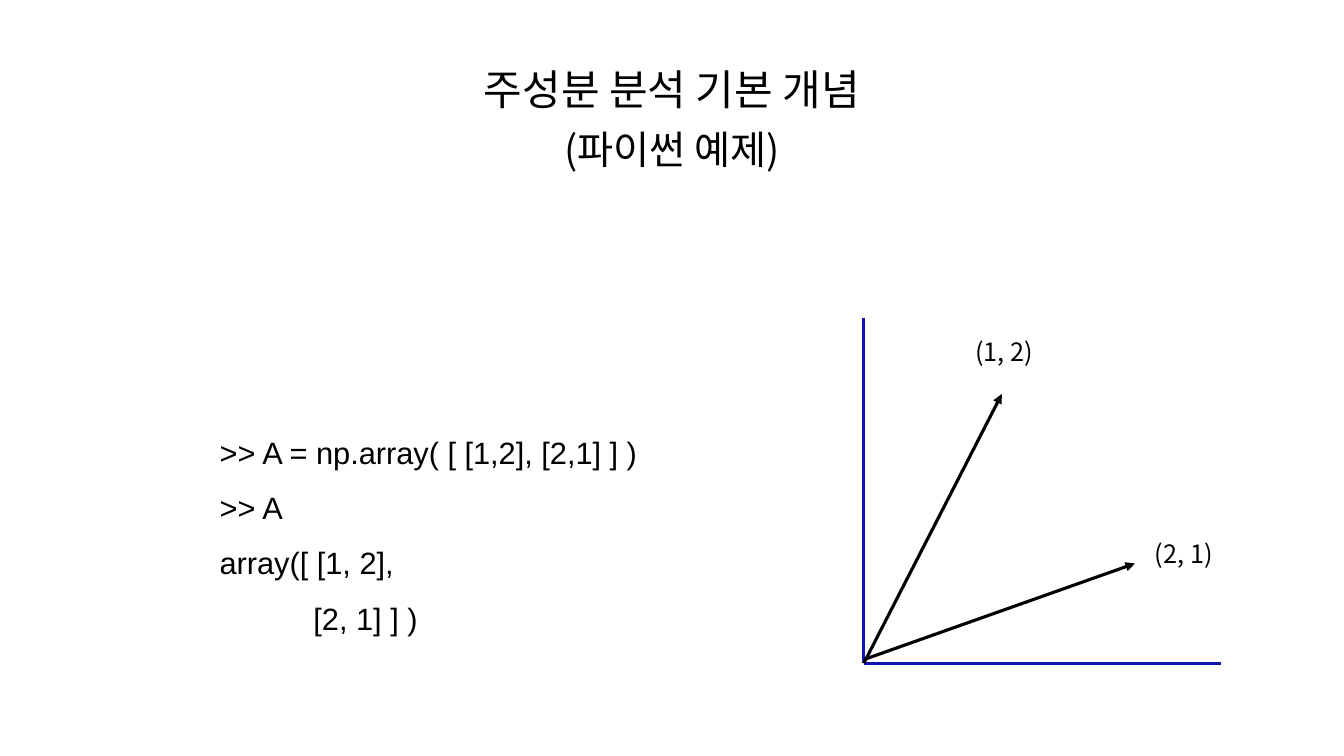
from lxml import etree
from pptx import Presentation
from pptx.dml.color import RGBColor
from pptx.enum.shapes import MSO_CONNECTOR
from pptx.enum.text import MSO_ANCHOR, MSO_AUTO_SIZE, PP_ALIGN
from pptx.oxml.ns import qn
from pptx.util import Pt

BLACK = RGBColor(0x00, 0x00, 0x00)
AXIS_BLUE = RGBColor(0x13, 0x13, 0xAD)
KOREAN_FONT = "Noto Sans CJK KR"
CODE_FONT = "Arial"
STRAIGHT = MSO_CONNECTOR.STRAIGHT
MIDDLE = MSO_ANCHOR.MIDDLE
CENTER = PP_ALIGN.CENTER
NO_FIT, GROW = MSO_AUTO_SIZE.NONE, MSO_AUTO_SIZE.SHAPE_TO_FIT_TEXT

TITLE_LINES = [("주성분 분석 기본 개념", 30), ("(파이썬 예제)", 28)]
CODE_LINES = [
    ">> A = np.array( [ [1,2], [2,1] ] )",
    ">> A",
    "array([ [1, 2],",
    "           [2, 1] ] )",
]


def format_run(r, size, font):
    r.font.size = Pt(size)
    r.font.name = font
    r.font.color.rgb = BLACK
    etree.SubElement(r.font._element, qn("a:ea"), typeface=font)


def place(s, left, top, width, height):
    s.left, s.top, s.width, s.height = Pt(left), Pt(top), Pt(width), Pt(height)


def add_title(slide, left, top, width, height):
    s = slide.shapes.title
    place(s, left, top, width, height)
    tf = s.text_frame
    tf.word_wrap = True
    tf.auto_size = NO_FIT
    tf.vertical_anchor = MIDDLE
    p = tf.paragraphs[0]
    p.alignment = CENTER
    p.line_spacing = 1.25
    for i, (text, size) in enumerate(TITLE_LINES):
        if i:
            p.add_line_break()
            # The break takes the size of the line it ends
            line_break = p._p.findall(qn("a:br"))[-1]
            etree.SubElement(line_break, qn("a:rPr"), sz=str(TITLE_LINES[i - 1][1] * 100))
        r = p.add_run()
        r.text = text
        format_run(r, size, KOREAN_FONT)


def add_text(shapes, lines, box, size, font):
    s = shapes.add_textbox(*(Pt(v) for v in box))
    tf = s.text_frame
    tf.word_wrap = True
    tf.auto_size = GROW
    for i, line in enumerate(lines):
        p = tf.add_paragraph() if i else tf.paragraphs[0]
        p.text = line
        if i:
            p.line_spacing = 1.5
        format_run(p.runs[0], size, font)


def add_line(shapes, start, end, color, arrow=False):
    s = shapes.add_connector(STRAIGHT, *(Pt(v) for v in (*start, *end)))
    s.line.color.rgb = color
    s.line.width = Pt(2.25)
    if arrow:
        etree.SubElement(s.line._get_or_add_ln(), qn("a:tailEnd"), type="triangle")
    etree.SubElement(s._element.spPr, qn("a:effectLst"))


def add_vector_plot(slide, left, top, width, height):
    shapes = slide.shapes.add_group_shape().shapes
    bottom = top + height
    origin = (left, bottom)

    # Axes
    add_line(shapes, (left, top), origin, AXIS_BLUE)
    add_line(shapes, origin, (left + width, bottom), AXIS_BLUE)

    # Vectors
    add_line(shapes, origin, (left + 98.6, top + 54.7), BLACK, arrow=True)
    add_line(shapes, (left + 0.7, bottom - 2.9), (left + 193.7, top + 175.7),
             BLACK, arrow=True)

    # Vector labels
    for text, dx, dy in [("(2, 1)", 200.9, 154.1), ("(1, 2)", 72.7, 10.1)]:
        add_text(shapes, [text], (left + dx, top + dy, 67, 31.7), 18, KOREAN_FONT)


def main():
    prs = Presentation()
    prs.slide_width, prs.slide_height = Pt(960), Pt(540)
    slide = prs.slides.add_slide(prs.slide_layouts[5])
    add_title(slide, 48, 21.6, 864, 116)
    add_text(slide.shapes, CODE_LINES, (149.8, 306, 343.4, 154), 22, CODE_FONT)
    add_vector_plot(slide, 617, 226.8, 255, 247)
    prs.save("out.pptx")


if __name__ == "__main__":
    main()
